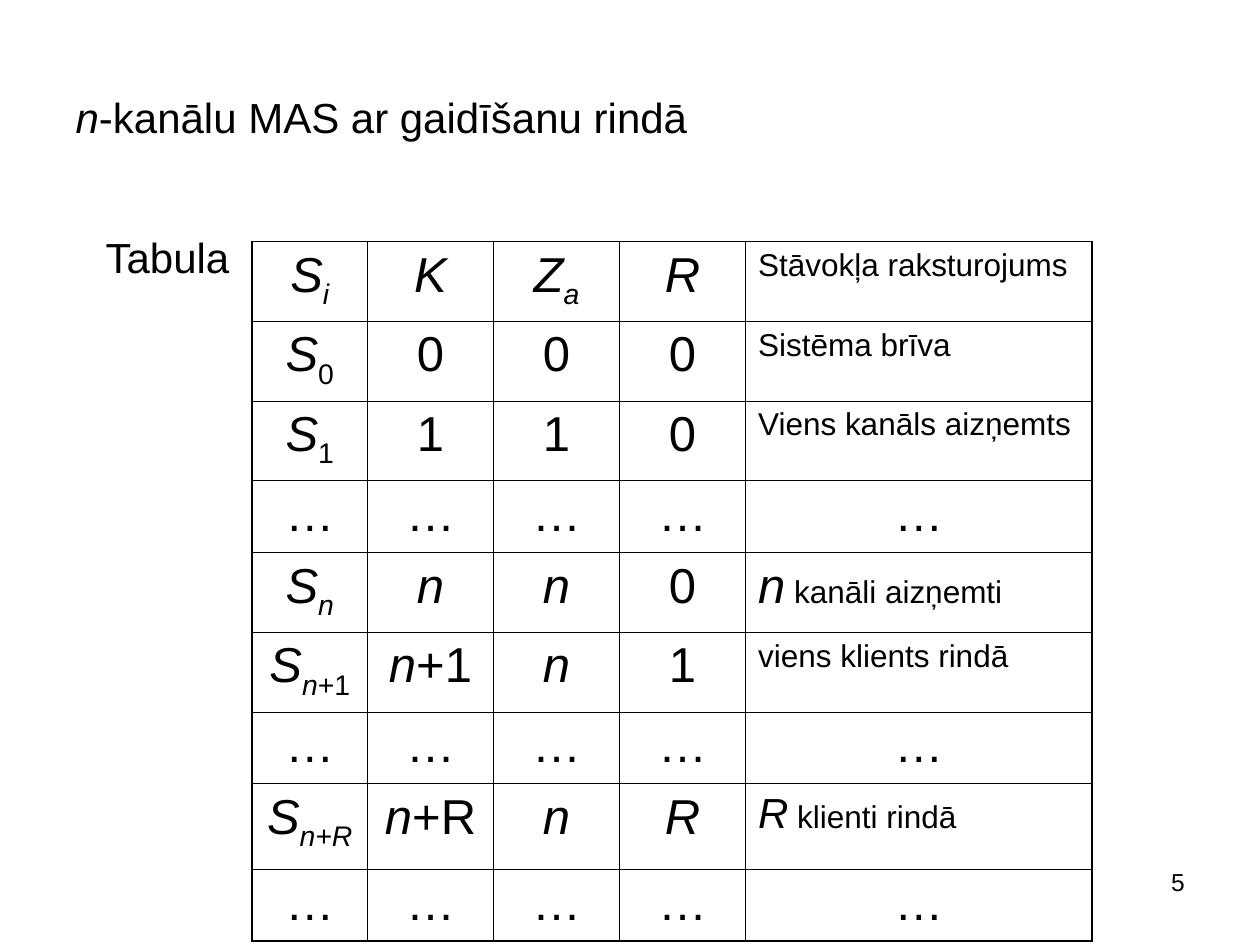
import dataclasses
import typing

import lxml.etree
import pptx
import pptx.dml.color
import pptx.enum.text
import pptx.oxml.ns
import pptx.util

Pt = pptx.util.Pt
Align = pptx.enum.text.PP_ALIGN


@dataclasses.dataclass(frozen=True)
class Theme:
    font: str = "Arial"
    ink: str = "000000"
    heading: float = 24
    symbol: float = 28
    note: float = 18
    page: float = 14
    inner_line: float = 0.45
    outer_line: float = 1.08


@dataclasses.dataclass(frozen=True)
class Run:
    text: str
    italic: bool = False
    subscript: bool = False
    size: typing.Optional[float] = None


def var(name, size=None):
    """A mathematical variable, set in italics."""
    return Run(name, italic=True, size=size)


def state(*index):
    """The state symbol S followed by its index runs as subscripts."""
    return [var("S")] + [dataclasses.replace(run, subscript=True) for run in index]


class SlideBuilder:
    def __init__(self, slide, theme):
        self.slide = slide
        self.theme = theme

    def fill_text(self, frame, runs, size, align=Align.LEFT):
        paragraph = frame.paragraphs[0]
        paragraph.alignment = align
        paragraph.font.name = self.theme.font
        paragraph.font.size = Pt(size)
        paragraph.font.color.rgb = pptx.dml.color.RGBColor.from_string(self.theme.ink)
        for part in runs:
            run = paragraph.add_run()
            run.text = part.text
            run.font.italic = part.italic
            if part.size:
                run.font.size = Pt(part.size)
            if part.subscript:
                run._r.get_or_add_rPr().set("baseline", "-25000")

    def title(self, runs, left, top, width, height):
        title = self.slide.shapes.title
        title.left, title.top = Pt(left), Pt(top)
        title.width, title.height = Pt(width), Pt(height)
        title.text_frame.vertical_anchor = pptx.enum.text.MSO_ANCHOR.MIDDLE
        self.fill_text(title.text_frame, runs, self.theme.heading)

    def label(self, text, left, top, width, height, size, align=Align.LEFT, wrap=True):
        box = self.slide.shapes.add_textbox(Pt(left), Pt(top), Pt(width), Pt(height))
        box.text_frame.word_wrap = wrap
        self.fill_text(box.text_frame, [Run(text)], size, align)

    def border(self, cell, widths):
        """Draw the cell's sides; widths run left, right, top, bottom."""
        properties = cell._tc.get_or_add_tcPr()
        for place, (side, width) in enumerate(zip("LRTB", widths)):
            line = lxml.etree.Element(pptx.oxml.ns.qn(f"a:ln{side}"), w=str(int(Pt(width))))
            fill = lxml.etree.SubElement(line, pptx.oxml.ns.qn("a:solidFill"))
            lxml.etree.SubElement(fill, pptx.oxml.ns.qn("a:srgbClr"), val=self.theme.ink)
            properties.insert(place, line)

    def table(self, rows, left, top, column_widths, row_heights):
        last_row, last_column = len(rows) - 1, len(column_widths) - 1
        table = self.slide.shapes.add_table(
            len(rows), len(column_widths), Pt(left), Pt(top),
            Pt(sum(column_widths)), Pt(sum(row_heights))).table
        table.first_row = table.horz_banding = False
        for column, width in zip(table.columns, column_widths):
            column.width = Pt(width)
        for r, (row, height) in enumerate(zip(rows, row_heights)):
            table.rows[r].height = Pt(height)
            for c, runs in enumerate(row):
                cell = table.cell(r, c)
                cell.fill.background()
                on_edge = (c == 0, c == last_column, r == 0, r == last_row)
                self.border(cell, [self.theme.outer_line if edge else self.theme.inner_line
                                   for edge in on_edge])
                if c == last_column and row is not ELLIPSIS_ROW:
                    self.fill_text(cell.text_frame, runs, self.theme.note)
                else:
                    self.fill_text(cell.text_frame, runs, self.theme.symbol, Align.CENTER)


THEME = Theme()
ELLIPSIS_ROW = [[Run("…")]] * 5
N = var("n")
STATES = [
    [state(var("i")), [var("K")], [var("Z"), Run("a", True, True)], [var("R")],
     [Run("Stāvokļa raksturojums")]],
    [state(Run("0")), [Run("0")], [Run("0")], [Run("0")], [Run("Sistēma brīva")]],
    [state(Run("1")), [Run("1")], [Run("1")], [Run("0")], [Run("Viens kanāls aizņemts")]],
    ELLIPSIS_ROW,
    [state(N), [N], [N], [Run("0")],
     [var("n", THEME.symbol), Run(" kanāli aizņemti")]],
    [state(N, Run("+1")), [N, Run("+1")], [N], [Run("1")], [Run("viens klients rindā")]],
    ELLIPSIS_ROW,
    [state(var("n+R")), [N, Run("+R")], [N], [var("R")],
     [var("R", THEME.heading), Run(" klienti rindā")]],
    ELLIPSIS_ROW,
]
SYMBOL_ROW, DOTS_ROW, LAST_STATE_ROW = 45.6, 41, 49


def main():
    deck = pptx.Presentation()
    deck.slide_width, deck.slide_height = Pt(720), Pt(540)
    title_only = deck.slide_layouts[5]
    builder = SlideBuilder(deck.slides.add_slide(title_only), THEME)

    builder.title([N, Run("-kanālu MAS ar gaidīšanu rindā")], 36, 21.6, 648, 90)
    builder.label("Tabula", 53.3, 129, 88, 36, THEME.heading, wrap=False)
    heights = [DOTS_ROW if row is ELLIPSIS_ROW else SYMBOL_ROW for row in STATES]
    heights[-2] = LAST_STATE_ROW
    builder.table(STATES, 144, 138, [66, 72, 72, 72, 198], heights)
    builder.label("5", 516, 491.8, 168, 37.4, THEME.page, Align.RIGHT)
    deck.save("out.pptx")


if __name__ == "__main__":
    main()
